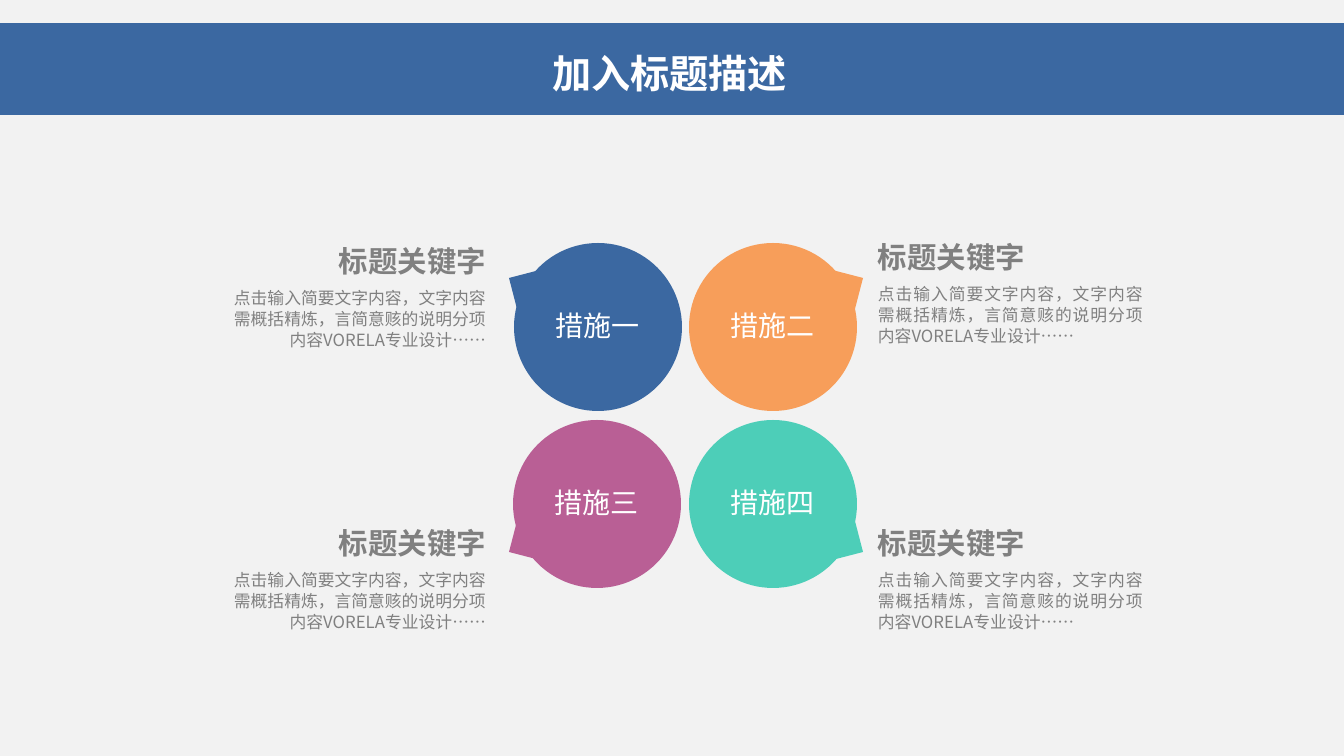
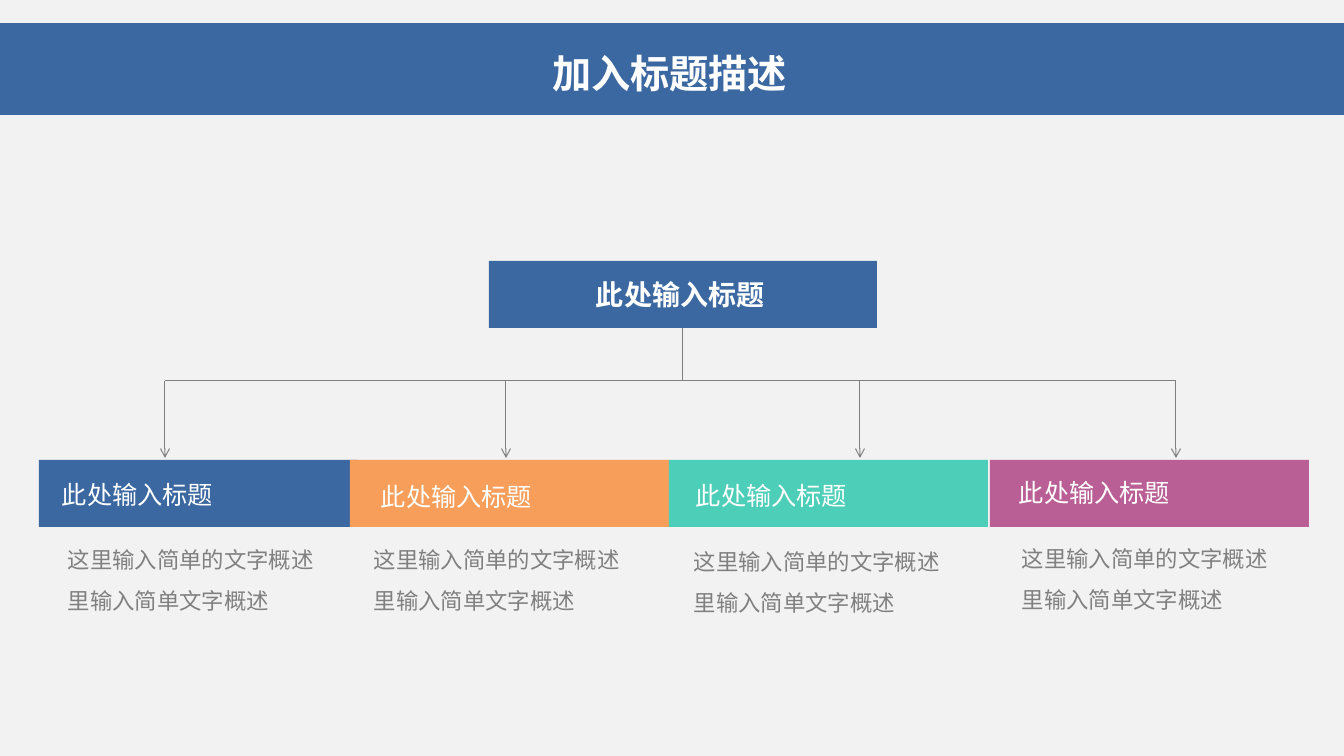
import pptx
import pptx.dml.color
import pptx.enum.shapes
import pptx.enum.text
import pptx.oxml
import pptx.oxml.ns
import pptx.util
from dataclasses import dataclass

SLIDE_WIDTH, SLIDE_HEIGHT = 1344, 756
SCALE = 12192000 / SLIDE_WIDTH
ALIGN = pptx.enum.text.PP_ALIGN
ANCHOR = pptx.enum.text.MSO_ANCHOR
SHAPE = pptx.enum.shapes.MSO_SHAPE


@dataclass(frozen=True)
class Theme:
    font: str = "Noto Sans CJK SC"
    background: str = "F2F2F2"
    blue: str = "3B68A1"
    orange: str = "F79E5A"
    purple: str = "B95F95"
    teal: str = "4DCEB8"
    white: str = "FFFFFF"
    gray: str = "808080"
    line: str = "7F7F7F"
    title_size: int = 28
    heading_size: int = 21
    label_size: int = 20
    branch_size: int = 18
    note_size: int = 16
    body_size: int = 12
    line_width: float = 0.75


def px(length):
    return pptx.util.Emu(round(length * SCALE))


def rgb(color):
    return pptx.dml.color.RGBColor.from_string(color)


def add_xml(parent, tag, **attributes):
    element = pptx.oxml.parse_xml(f"<{tag} {pptx.oxml.ns.nsdecls('a')}/>")
    for name, value in attributes.items():
        element.set(name, value)
    parent.append(element)


class Deck:
    def __init__(self, theme):
        self.theme = theme
        self.presentation = pptx.Presentation()
        self.presentation.slide_width = px(SLIDE_WIDTH)
        self.presentation.slide_height = px(SLIDE_HEIGHT)
        self.paint(self.presentation.slide_master.background, theme.background)
        self.slide = None

    def paint(self, target, color):
        target.fill.solid()
        target.fill.fore_color.rgb = rgb(color)

    def set_text(self, shape, text, size, color, bold=False, align=ALIGN.LEFT,
                 anchor=ANCHOR.TOP, insets=(0, 0, 0, 0), spacing=None):
        frame = shape.text_frame
        frame.word_wrap = True
        frame.auto_size = pptx.enum.text.MSO_AUTO_SIZE.NONE
        frame.vertical_anchor = anchor
        (frame.margin_left, frame.margin_top,
         frame.margin_right, frame.margin_bottom) = map(px, insets)
        frame.text = text
        paragraph = frame.paragraphs[0]
        paragraph.alignment = align
        if spacing:
            paragraph.line_spacing = spacing
        font = paragraph.font
        font.name = self.theme.font
        font.size = pptx.util.Pt(size)
        font.bold = bold
        font.color.rgb = rgb(color)
        properties = paragraph._p.pPr.find(pptx.oxml.ns.qn("a:defRPr"))
        add_xml(properties, "a:ea", typeface=self.theme.font)

    def add_slide(self, title):
        layout = self.presentation.slide_layouts.get_by_name("Title Only")
        self.slide = self.presentation.slides.add_slide(layout)
        band = self.slide.shapes.title
        band.left, band.top, band.width, band.height = map(px, (0, 23, SLIDE_WIDTH, 92))
        self.paint(band, self.theme.blue)
        self.set_text(band, title, self.theme.title_size, self.theme.white, bold=True,
                      align=ALIGN.CENTER, anchor=ANCHOR.MIDDLE, insets=(7, 11, 12, 4))

    def add_text(self, box, text, size, **style):
        shape = self.slide.shapes.add_textbox(*map(px, box))
        self.set_text(shape, text, size, self.theme.gray, **style)

    def finish(self, shape, color):
        shape.shadow.inherit = False
        self.paint(shape, color)
        shape.line.fill.background()

    def add_block(self, kind, box, color, text, size, **style):
        shape = self.slide.shapes.add_shape(kind, *map(px, box))
        self.finish(shape, color)
        self.set_text(shape, text, size, self.theme.white, anchor=ANCHOR.MIDDLE, **style)
        return shape

    def add_polygon(self, points, color):
        points = [(px(x), px(y)) for x, y in points]
        builder = self.slide.shapes.build_freeform(*points[0])
        builder.add_line_segments(points[1:], close=True)
        self.finish(builder.convert_to_shape(), color)

    def add_line(self, start, end, arrow=False):
        connector = self.slide.shapes.add_connector(
            pptx.enum.shapes.MSO_CONNECTOR.STRAIGHT, *map(px, (*start, *end)))
        connector.line.color.rgb = rgb(self.theme.line)
        connector.line.width = pptx.util.Pt(self.theme.line_width)
        properties = connector._element.spPr
        if arrow:
            outline = properties.find(pptx.oxml.ns.qn("a:ln"))
            add_xml(outline, "a:tailEnd", type="arrow")
        add_xml(properties, "a:effectLst")
        return connector


def build_measures(deck):
    theme = deck.theme
    deck.add_slide("加入标题描述")
    center_x, center_y = 686, 415
    diameter = 168
    tail = [(-123, -151), (-177, -137), (-163, -83)]
    body = "点击输入简要文字内容，文字内容需概括精炼，言简意赅的说明分项内容VORELA专业设计……"
    measures = [
        ("措施一", theme.blue, -1, -1, 514, 243),
        ("措施二", theme.orange, 1, -1, 689, 239),
        ("措施三", theme.purple, -1, 1, 513, 525),
        ("措施四", theme.teal, 1, 1, 689, 525),
    ]
    for label, color, side, level, circle_left, heading_top in measures:
        deck.add_polygon([(center_x - side * x, center_y - level * y) for x, y in tail],
                         color)
        circle_top = 243 if level < 0 else 420
        deck.add_block(SHAPE.OVAL, (circle_left, circle_top, diameter, diameter), color,
                       label, theme.label_size, align=ALIGN.CENTER, insets=(0, 0, 0, 4))
        if side < 0:
            left, width, heading_align, body_align = 224, 262, ALIGN.RIGHT, ALIGN.RIGHT
        else:
            left, width, heading_align, body_align = 878, 265, ALIGN.LEFT, ALIGN.JUSTIFY
        deck.add_text((left, heading_top, width, 35), "标题关键字", theme.heading_size,
                      bold=True, align=heading_align)
        deck.add_text((left, heading_top + 44, width, 64), body, theme.body_size,
                      align=body_align, spacing=pptx.util.Pt(15))


def build_hierarchy(deck):
    theme = deck.theme
    deck.add_slide("加入标题描述")
    label = "此处输入标题"
    note = "这里输入简单的文字概述里输入简单文字概述"
    root = deck.add_block(SHAPE.RECTANGLE, (489, 261, 388, 67), theme.blue, label,
                          theme.label_size, bold=True, insets=(107, 0, 0, 0))
    bus_top = 381
    stem = deck.add_line((683, 328), (683, bus_top))
    stem.begin_connect(root, 2)
    branches = [
        (39, theme.blue, 165, 23, 12, 58, 528),
        (350, theme.orange, 506, 31, 16, 364, 528),
        (669, theme.teal, 860, 27, 14, 684, 530),
        (990, theme.purple, 1176, 29, 8, 1012, 527),
    ]
    deck.add_line((branches[0][2], bus_top), (branches[-1][2], bus_top))
    for left, color, arrow_x, indent, drop, note_left, note_top in branches:
        deck.add_line((arrow_x, bus_top), (arrow_x, 458), arrow=True)
        deck.add_block(SHAPE.RECTANGLE, (left, 460, 319, 67), color, label,
                       theme.branch_size, insets=(indent, drop, 0, 10))
        deck.add_text((note_left, note_top, 277, 92), note, theme.note_size,
                      insets=(10, 5, 10, 5), spacing=1.5)


def main():
    deck = Deck(Theme())
    build_measures(deck)
    build_hierarchy(deck)
    deck.presentation.save("out.pptx")


if __name__ == "__main__":
    main()
